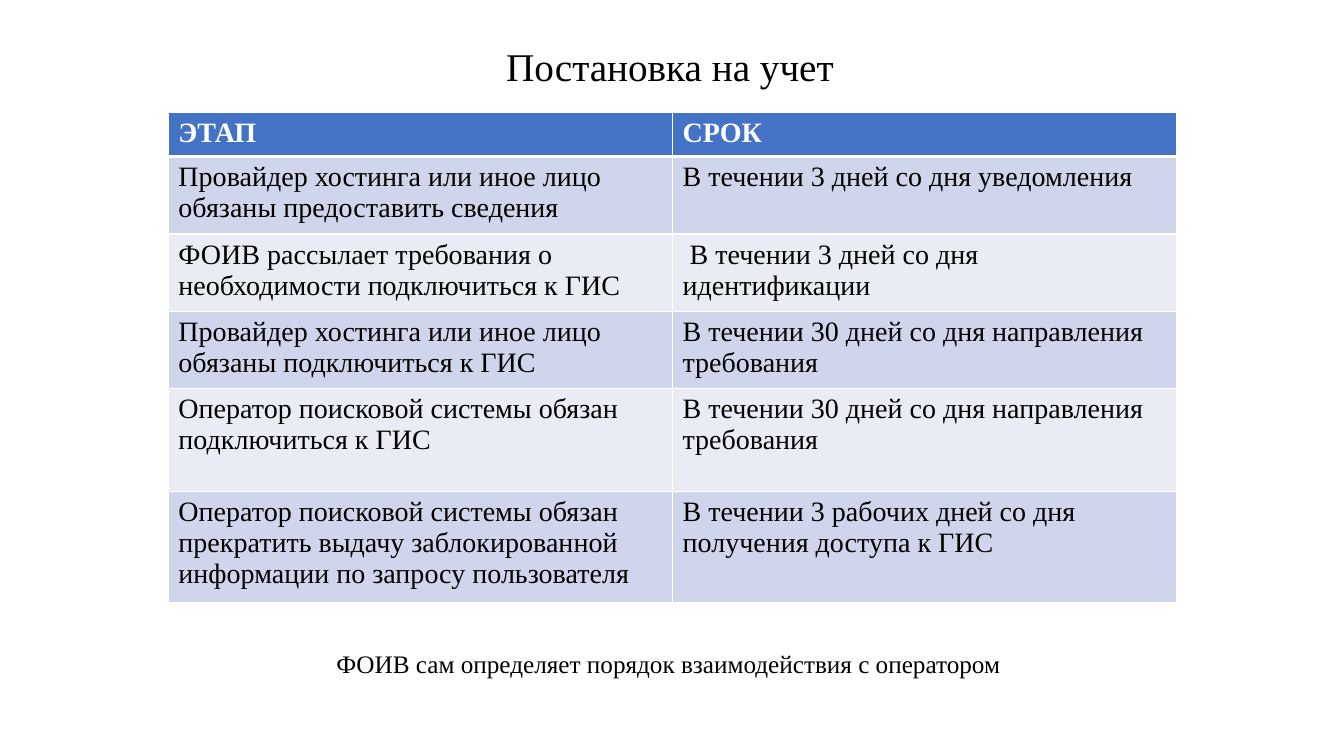
from dataclasses import dataclass

import pptx
import pptx.dml.color
import pptx.enum.text
import pptx.oxml
import pptx.oxml.ns
import pptx.util

COLORS = {
    "text": "000000",
    "white": "FFFFFF",
    "header": "4472C4",
    "odd": "CFD5EA",
    "even": "E9EBF5",
}
FONT = "Times New Roman"


@dataclass
class Stage:
    name: str
    term: str
    height: float


STAGES = [
    Stage("ЭТАП", "СРОК", 0.41),
    Stage("Провайдер хостинга или иное лицо обязаны предоставить сведения",
          "В течении 3 дней со дня уведомления", 0.71),
    Stage("ФОИВ рассылает требования о необходимости подключиться к ГИС",
          " В течении 3 дней со дня идентификации", 0.71),
    Stage("Провайдер хостинга или иное лицо обязаны подключиться к ГИС",
          "В течении 30 дней со дня направления требования", 0.72),
    Stage("Оператор поисковой системы обязан подключиться к ГИС",
          "В течении 30 дней со дня направления требования", 1.02),
    Stage("Оператор поисковой системы обязан прекратить выдачу "
          "заблокированной информации по запросу пользователя",
          "В течении 3 рабочих дней со дня получения доступа к ГИС", 1.02),
]


def rgb(name: str) -> pptx.dml.color.RGBColor:
    return pptx.dml.color.RGBColor.from_string(COLORS[name])


def set_text(tf, text: str, size: int, color: str = "text", bold: bool = False) -> None:
    tf.text = text
    font = tf.paragraphs[0].runs[0].font
    font.name = FONT
    font.size = pptx.util.Pt(size)
    font.bold = bold
    font.color.rgb = rgb(color)


def set_borders(cell, top: int, bottom: int) -> None:
    """Draw white cell edges; top and bottom widths are in points."""
    widths = {"lnL": 1, "lnR": 1, "lnT": top, "lnB": bottom}
    tc_pr = cell._tc.get_or_add_tcPr()
    for i, (tag, width) in enumerate(widths.items()):
        tc_pr.insert(i, pptx.oxml.parse_xml(
            f'<a:{tag} {pptx.oxml.ns.nsdecls("a")} w="{pptx.util.Pt(width)}">'
            f'<a:solidFill><a:srgbClr val="{COLORS["white"]}"/></a:solidFill>'
            f'</a:{tag}>'))


def place(sp, left: float, top: float, width: float, height: float) -> None:
    sp.left, sp.top = pptx.util.Inches(left), pptx.util.Inches(top)
    sp.width, sp.height = pptx.util.Inches(width), pptx.util.Inches(height)


def add_stage_table(s) -> None:
    total = sum(stage.height for stage in STAGES)
    table = s.shapes.add_table(
        len(STAGES), 2, pptx.util.Inches(1.67), pptx.util.Inches(1.12),
        pptx.util.Inches(10), pptx.util.Inches(total)).table
    for i, stage in enumerate(STAGES):
        table.rows[i].height = pptx.util.Inches(stage.height)
        header = i == 0
        fill = "header" if header else ("odd" if i % 2 else "even")
        for cell, text in zip(table.rows[i].cells, (stage.name, stage.term)):
            set_text(cell.text_frame, text, 20, "white" if header else "text", header)
            cell.fill.solid()
            cell.fill.fore_color.rgb = rgb(fill)
            set_borders(cell, top=3 if i == 1 else 1, bottom=3 if header else 1)


def add_title(s) -> None:
    sp = s.shapes.title
    place(sp, 4.92, 0.37, 3.49, 0.57)
    tf = sp.text_frame
    set_text(tf, "Постановка на учет", 28)
    tf.word_wrap = False
    tf.auto_size = pptx.enum.text.MSO_AUTO_SIZE.SHAPE_TO_FIT_TEXT
    tf.vertical_anchor = pptx.enum.text.MSO_ANCHOR.TOP
    tf.paragraphs[0].alignment = pptx.enum.text.PP_ALIGN.LEFT


def add_note(s) -> None:
    sp = s.shapes.add_textbox(0, 0, 0, 0)
    place(sp, 3.17, 6.38, 6.92, 0.4)
    tf = sp.text_frame
    set_text(tf, "ФОИВ сам определяет порядок взаимодействия с оператором", 18)
    tf.word_wrap = False
    tf.paragraphs[0].alignment = pptx.enum.text.PP_ALIGN.CENTER


def main() -> None:
    prs = pptx.Presentation()
    prs.slide_width = pptx.util.Inches(13.33)
    prs.slide_height = pptx.util.Inches(7.5)
    s = prs.slides.add_slide(prs.slide_layouts.get_by_name("Title Only"))
    add_title(s)
    add_stage_table(s)
    add_note(s)
    prs.save("out.pptx")


if __name__ == "__main__":
    main()
